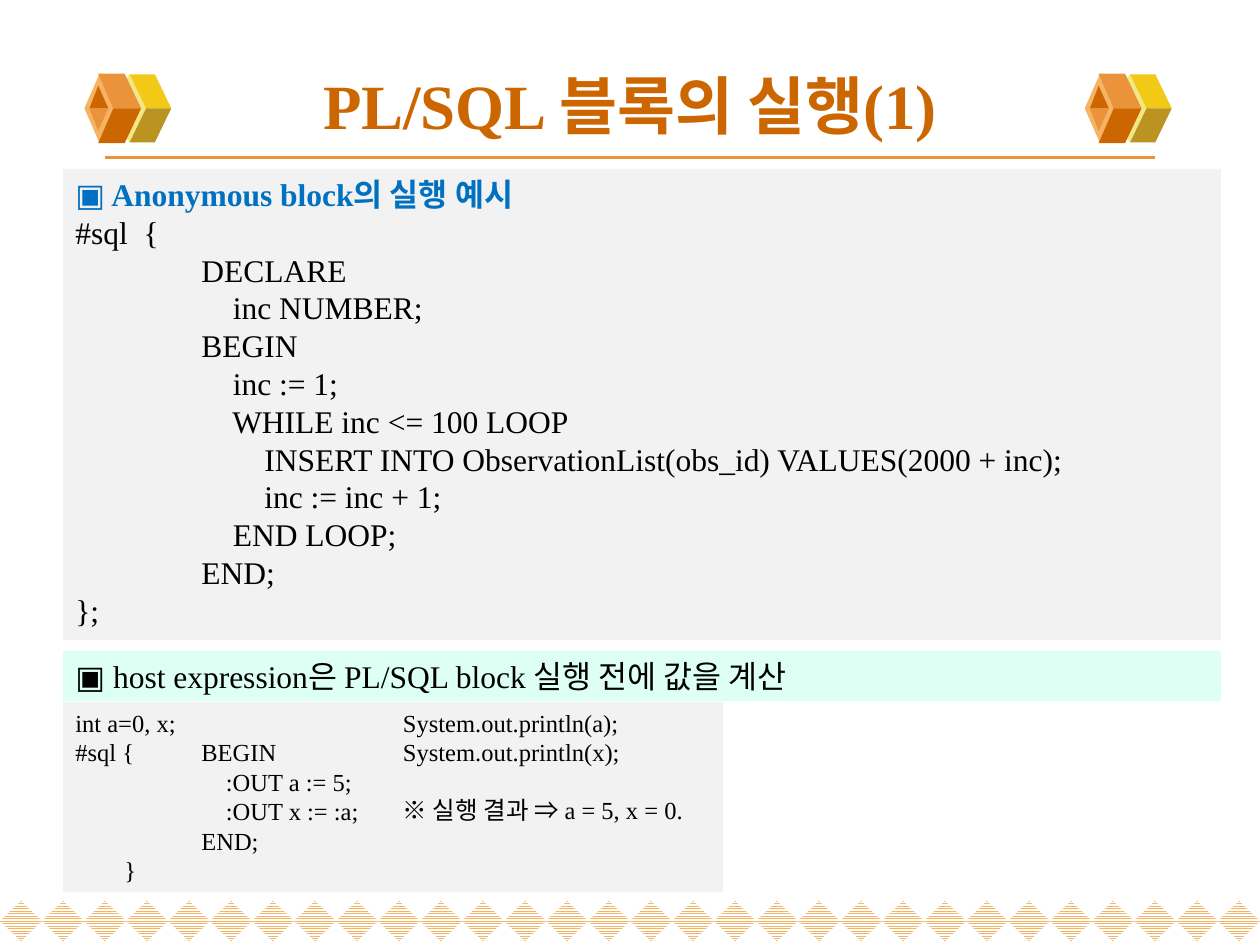
from pptx import Presentation
from pptx.dml.color import RGBColor
from pptx.enum.dml import MSO_PATTERN
from pptx.enum.shapes import MSO_CONNECTOR, MSO_SHAPE
from pptx.enum.text import MSO_ANCHOR, PP_ALIGN
from pptx.oxml.ns import qn
from pptx.util import Inches, Pt
from lxml.etree import SubElement

SLIDE_W, SLIDE_H = Inches(10), Inches(7.5)
COLUMN, ROW = SLIDE_W / 100, SLIDE_H / 75
CODE_TAB = round(10 * COLUMN)
FONT = "Times New Roman"

WHITE = RGBColor(0xFF, 0xFF, 0xFF)
BLACK = RGBColor(0x00, 0x00, 0x00)
BLUE = RGBColor(0x00, 0x70, 0xC0)
GRAY = RGBColor(0xF2, 0xF2, 0xF2)
MINT = RGBColor(0xDD, 0xFF, 0xF4)
DARK_ORANGE = RGBColor(0xCC, 0x66, 0x00)
ORANGE = RGBColor(0xEB, 0x93, 0x3B)
LIGHT_ORANGE = RGBColor(0xF5, 0xB3, 0x63)
YELLOW = RGBColor(0xF3, 0xC9, 0x17)
PALE_YELLOW = RGBColor(0xF1, 0xE7, 0x85)
OLIVE = RGBColor(0xBB, 0x93, 0x21)

ANONYMOUS_BLOCK = [
    "▣ Anonymous block의 실행 예시",
    "#sql  {",
    "\tDECLARE",
    "\t    inc NUMBER;",
    "\tBEGIN",
    "\t    inc := 1;",
    "\t    WHILE inc <= 100 LOOP",
    "\t        INSERT INTO ObservationList(obs_id) VALUES(2000 + inc);",
    "\t        inc := inc + 1;",
    "\t    END LOOP;",
    "\tEND;",
    "};",
]
HOST_EXPRESSION = ["▣ host expression은 PL/SQL block 실행 전에 값을 계산"]
HOST_CODE = [
    "int a=0, x;",
    "#sql {\tBEGIN",
    "\t    :OUT a := 5;",
    "\t    :OUT x := :a;",
    "\tEND;",
    "        }",
]
HOST_RESULT = [
    "System.out.println(a);",
    "System.out.println(x);",
    "※ 실행 결과 ⇒ a = 5, x = 0.",
]


def grid(left, top, width, height):
    return (round(left * COLUMN), round(top * ROW),
            round(width * COLUMN), round(height * ROW))


def paint(shape, color):
    shape.fill.solid()
    shape.fill.fore_color.rgb = color
    shape.line.fill.background()
    shape.shadow.inherit = False


def format_text(paragraph, size, color, bold=False):
    for run in paragraph.runs:
        run.font.name = FONT
        run.font.size = Pt(size)
        run.font.bold = bold
        run.font.color.rgb = color


def add_code_tab(paragraph):
    tabs = SubElement(paragraph._p.get_or_add_pPr(), qn("a:tabLst"))
    SubElement(tabs, qn("a:tab"), pos=str(CODE_TAB), algn="l")


def add_diamond(slide, area, color):
    diamond = slide.shapes.add_shape(MSO_SHAPE.DIAMOND, *grid(*area))
    paint(diamond, color)
    return diamond


def add_border(slide, count=30):
    step = 100 / count
    for index in range(count):
        diamond = add_diamond(slide, (index * step, 71.5, step, 3.2), LIGHT_ORANGE)
        diamond.fill.patterned()
        diamond.fill.pattern = MSO_PATTERN.NARROW_HORIZONTAL
        diamond.fill.fore_color.rgb = LIGHT_ORANGE
        diamond.fill.back_color.rgb = WHITE


def add_facet(slide, left, middle, corners, color):
    points = [(round((left + x) * COLUMN), round((middle + y) * ROW))
              for x, y in corners]
    builder = slide.shapes.build_freeform(*points[0])
    builder.add_line_segments(points[1:], close=True)
    paint(builder.convert_to_shape(), color)


def add_cube(slide, left, middle=8.6):
    back = [(4.9, 0), (6.9, 0), (5.6, 2.7), (3.6, 2.7)]
    front = [(2.3, 0), (4.5, 0), (3.2, 2.75), (1.1, 2.75)]
    hollow = [(1.1, 1.8), (0.4, 0), (1.9, 0)]

    def add_halves(corners, upper, lower):
        for side, color in ((-1, upper), (1, lower)):
            add_facet(slide, left, middle, [(x, side * y) for x, y in corners], color)

    add_diamond(slide, (left + 1.95, middle - 2.75, 3.3, 5.5), PALE_YELLOW)
    add_halves(back, YELLOW, OLIVE)
    add_diamond(slide, (left, middle - 2.75, 2.4, 5.5), LIGHT_ORANGE)
    add_halves(front, ORANGE, DARK_ORANGE)
    add_halves(hollow, DARK_ORANGE, ORANGE)


def add_divider(slide):
    left, top, width, _ = grid(8.3, 12.5, 83.4, 0)
    divider = slide.shapes.add_connector(
        MSO_CONNECTOR.STRAIGHT, left, top, left + width, top)
    divider.line.color.rgb = ORANGE
    divider.line.width = Pt(2.25)
    SubElement(divider._element.spPr, qn("a:effectLst"))


def add_title(slide, wording):
    title = slide.shapes.add_textbox(*grid(5, 4, 90, 8.5))
    frame = title.text_frame
    frame.word_wrap = True
    frame.vertical_anchor = MSO_ANCHOR.MIDDLE
    frame.text = wording
    frame.paragraphs[0].alignment = PP_ALIGN.CENTER
    format_text(frame.paragraphs[0], 36, DARK_ORANGE, bold=True)


def add_panel(slide, area, lines, size, color):
    panel = slide.shapes.add_shape(MSO_SHAPE.RECTANGLE, *grid(*area))
    paint(panel, color)
    frame = panel.text_frame
    frame.word_wrap = True
    frame.vertical_anchor = MSO_ANCHOR.TOP
    frame.text = "\n".join(lines)
    for paragraph in frame.paragraphs:
        paragraph.alignment = PP_ALIGN.LEFT
        if "\t" in paragraph.text:
            add_code_tab(paragraph)
        format_text(paragraph, size, BLACK)
    return frame.paragraphs


def main():
    presentation = Presentation()
    presentation.slide_width, presentation.slide_height = SLIDE_W, SLIDE_H
    slide = presentation.slides.add_slide(presentation.slide_layouts[6])

    add_border(slide)
    add_divider(slide)
    for left in (6.7, 86.1):
        add_cube(slide, left)
    add_title(slide, "PL/SQL 블록의 실행(1)")

    example = add_panel(slide, (5, 13.4, 91.9, 37.4), ANONYMOUS_BLOCK, 18, GRAY)
    format_text(example[0], 18, BLUE, bold=True)
    add_panel(slide, (5, 51.65, 91.9, 4), HOST_EXPRESSION, 18, MINT)
    add_panel(slide, (5, 55.7, 26, 15.1), HOST_CODE, 14, GRAY)
    result = add_panel(slide, (31, 55.7, 26.4, 15.1), HOST_RESULT, 14, GRAY)
    result[-1].space_before = Pt(16)

    presentation.save("out.pptx")


if __name__ == "__main__":
    main()
